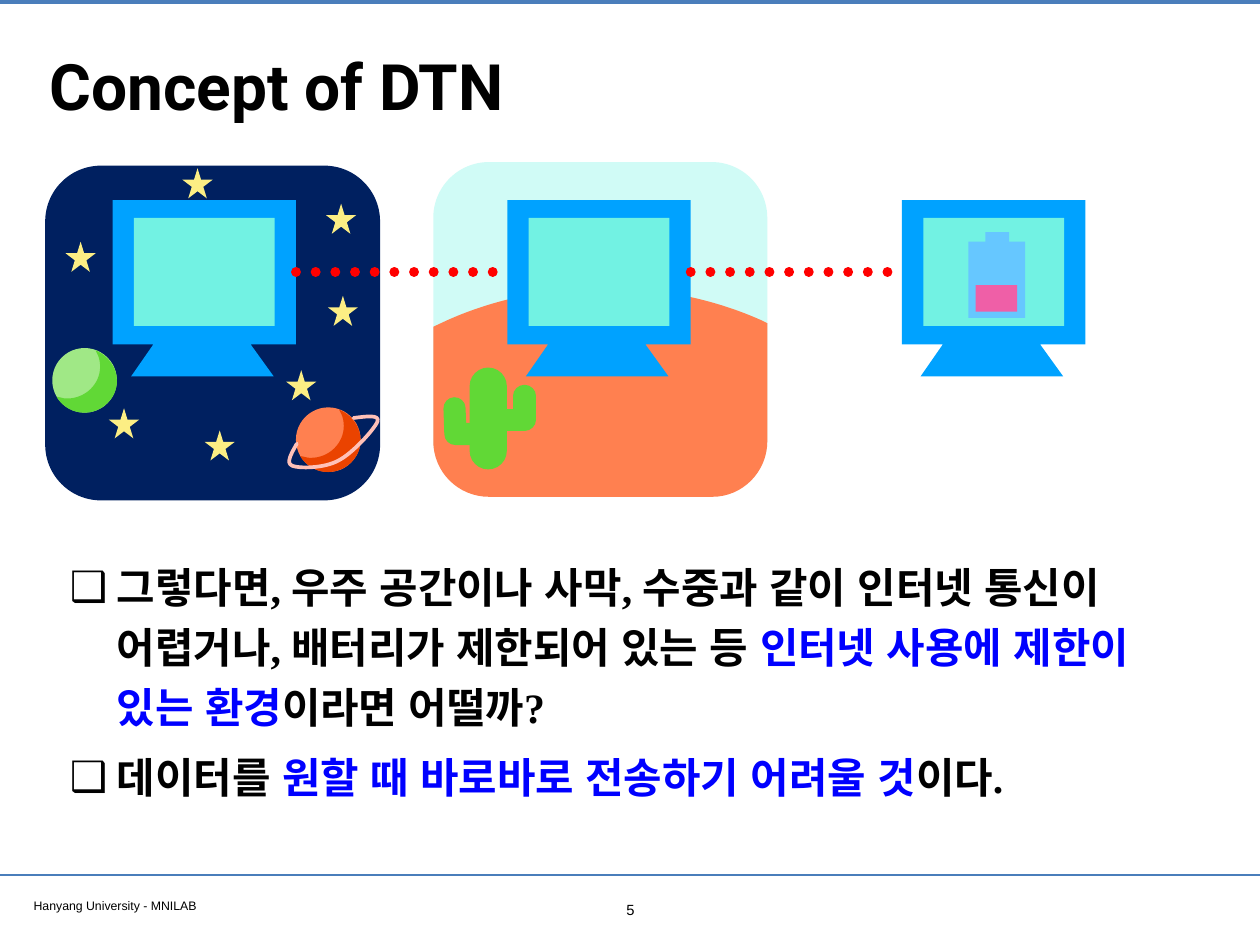
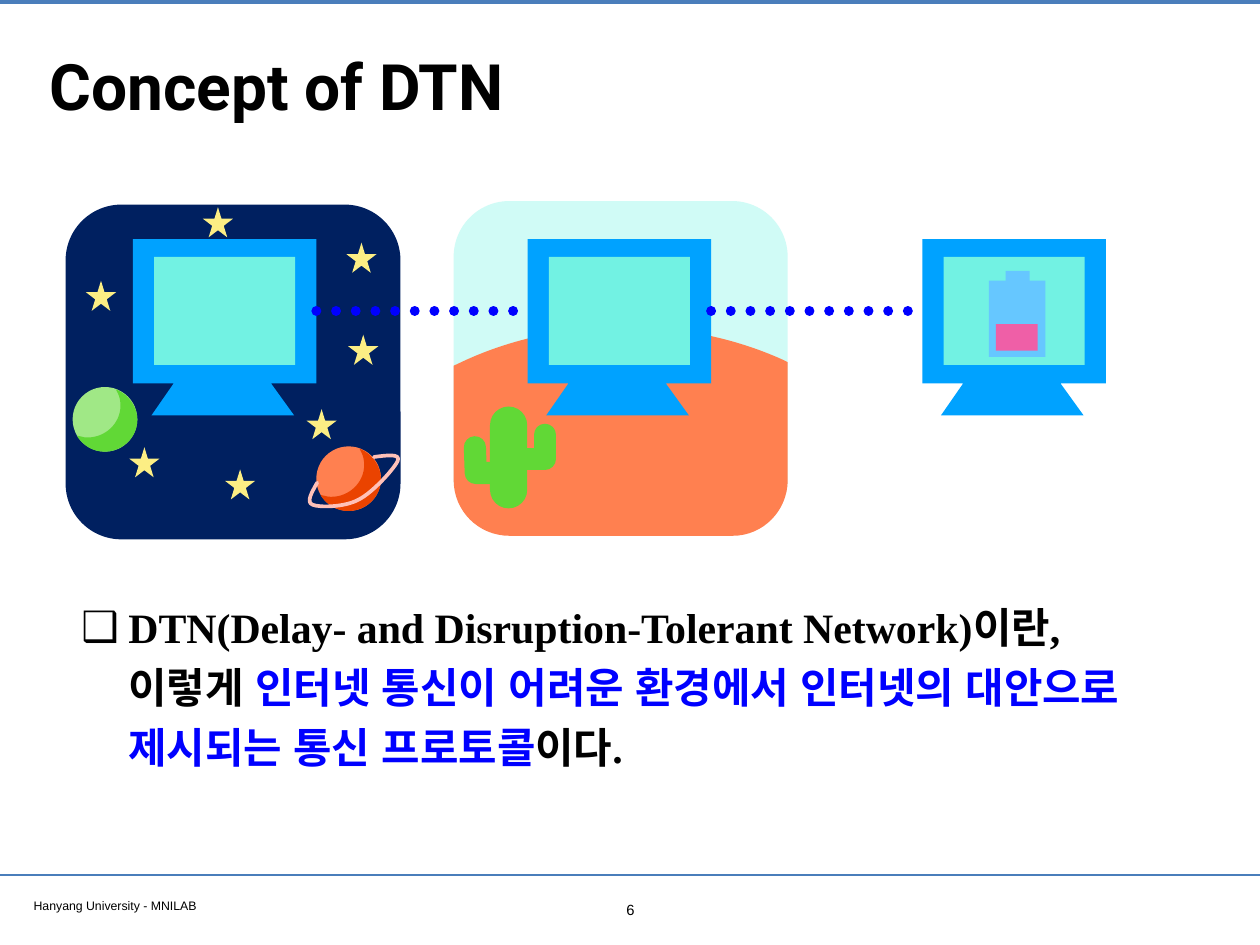
"""Builds two slides on the concept of delay-tolerant networks."""
from lxml.etree import SubElement
from pptx import Presentation
from pptx.dml.color import RGBColor
from pptx.enum.dml import MSO_LINE
from pptx.enum.shapes import MSO_CONNECTOR, MSO_SHAPE as Kind
from pptx.enum.text import MSO_ANCHOR as Anchor, MSO_AUTO_SIZE, PP_ALIGN as Align
from pptx.oxml.ns import qn
from pptx.shapes.connector import Connector
from pptx.util import Inches, Pt

rgb = RGBColor.from_string
BLACK, BLUE, RED = "000000", "0000FF", "FF0000"
RULE, FRAME, SCREEN = "4A7EBB", "00A2FF", "72F2E3"
SKY, SAND, SPACE, STAR = "D0FBF6", "FF8050", "002060", "FCEE84"
GREEN, RING, CELL, CHARGE = "61D836", "FFC1B8", "66C7FF", "EF5FA7"
PAD = Inches(0.05)
PITCH = 8.91 / 2

STARS = [(2.31, 4.86), (3.23, 4.18), (1.23, 4.61), (3.7, 3.34),
         (0.74, 2.73), (3.68, 2.3), (2.06, 1.9)]
PLANETS = [(3.34, 4.6, SAND, "EA4300"), (0.59, 3.93, "A0E886", GREEN)]
BATTERY = [(10.93, 2.73, 0.64, 0.86, CELL), (11.12, 2.62, 0.27, 0.17, CELL),
           (11.01, 3.22, 0.47, 0.3, CHARGE)]
ARMS = [[(5.68, 4.74), (5.92, 4.74), (5.92, 4.47)],
        [(5.3, 4.9), (5.14, 4.9), (5.13, 4.61)]]
DUNE = [(1.93, 0), (2.59, 0, 3.2, 0.14, 3.71, 0.37), (3.77, 0.4), (3.77, 1.73),
        (3.77, 2.08, 3.49, 2.36, 3.15, 2.36), (0.63, 2.36),
        (0.28, 2.36, 0, 2.08, 0, 1.73), (0, 0.44), (0.15, 0.37),
        (0.66, 0.14, 1.27, 0, 1.93, 0)]
SHADE = [(0.49, 0.03), (0.5, 0.03), (0.63, 0.09, 0.73, 0.22, 0.73, 0.37),
         (0.73, 0.57, 0.56, 0.73, 0.36, 0.73), (0.24, 0.73, 0.13, 0.67, 0.06, 0.57),
         (0.05, 0.55), (0.1, 0.56), (0.12, 0.57, 0.15, 0.57, 0.17, 0.57),
         (0.37, 0.57, 0.54, 0.41, 0.54, 0.21), (0.54, 0.16, 0.53, 0.11, 0.51, 0.07)]
ORBIT = [(3.35, 5.01), (3.29, 5.12, 3.22, 5.23, 3.3, 5.26),
         (3.37, 5.29, 3.66, 5.29, 3.82, 5.2), (3.98, 5.12, 4.23, 4.84, 4.26, 4.76),
         (4.29, 4.68, 4.14, 4.7, 3.99, 4.72)]
CASE = [(0, 0), (2.07, 0), (2.07, 1.63), (1.56, 1.63),
        (1.82, 1.99), (0.21, 1.99), (0.46, 1.63), (0, 1.63)]

PAGES = [
    ("5", 0, 0, RED, (0.74, 6.18, 12.24, 3.02), [
        [("그렇다면, 우주 공간이나 사막, 수중과 같이 인터넷 통신이 어렵거나, "
          "배터리가 제한되어 있는 등 ", BLACK),
         ("인터넷 사용에 제한이 있는 환경", BLUE), ("이라면 어떨까?", BLACK)],
        [("데이터를 ", BLACK), ("원할 때 바로바로 전송하기 어려울 것", BLUE),
         ("이다.", BLACK)]]),
    ("6", 0.23, 0.44, BLUE, (0.87, 6.63, 12.24, 2.24), [
        [("DTN(Delay- and Disruption-Tolerant Network)이란, 이렇게 ", BLACK),
         ("인터넷 통신이 어려운 환경에서 인터넷의 대안으로 제시되는 통신 프로토콜", BLUE),
         ("이다.", BLACK)]]),
]


def paint(item, fill=None, line=None, width=0):
    """Set fill, outline and shadow of a shape or connector."""
    if line:
        item.line.color.rgb = rgb(line)
        item.line.width = Pt(width)
        item.element.spPr.find(qn("a:ln")).set("cap", "rnd")
    else:
        item.line.fill.background()
    if isinstance(item, Connector):
        SubElement(item.element.spPr, qn("a:effectLst"))
        return
    item.shadow.inherit = False
    if fill:
        item.fill.solid()
        item.fill.fore_color.rgb = rgb(fill)
    else:
        item.fill.background()


def trace(pool, x, y, steps, close=True):
    """Draw an outline of points and cubic curves with its origin at x, y."""
    dots = [(Inches(step[i]), Inches(step[i + 1]))
            for step in steps for i in range(0, len(step), 2)]
    pen = pool.build_freeform(*dots[0], 1.0)
    pen.add_line_segments(dots[1:], close=close)
    shape = pen.convert_to_shape(Inches(x), Inches(y))
    legs = iter(list(shape.element.iter(qn("a:lnTo"))))
    for step in steps[1:]:
        leg = next(legs)
        if len(step) == 6:
            leg.tag = qn("a:cubicBezTo")
            for other in (next(legs), next(legs)):
                leg.append(other[0])
                other.getparent().remove(other)
    return shape


deck = Presentation()
deck.slide_width, deck.slide_height = Inches(14.22), Inches(10.67)
layout = deck.slide_layouts[5]
for spot in list(layout.placeholders):
    if spot.placeholder_format.idx:
        spot.element.getparent().remove(spot.element)

for page, (number, dx, dy, signal, place, body) in enumerate(PAGES):
    slide = deck.slides.add_slide(layout)
    pool = slide.shapes

    if page == 0:
        for y, width in ((0.02, 3.2), (9.88, 2)):
            rule = pool.add_connector(MSO_CONNECTOR.STRAIGHT, 0, Inches(y),
                                      deck.slide_width, Inches(y))
            paint(rule, line=RULE, width=width)
            layout.shapes.element.append(rule.element)
        foot = pool.add_textbox(Inches(0.33), Inches(10.09), Inches(5.46), Inches(0.26))
        frame = foot.text_frame
        frame.margin_left = frame.margin_right = PAD
        frame.margin_top = frame.margin_bottom = PAD
        frame.word_wrap = True
        run = frame.paragraphs[0].add_run()
        run.text = "Hanyang University - MNILAB"
        run.font.size, run.font.name = Pt(10), "Arial"
        run.font.color.rgb = rgb(BLACK)
        layout.shapes.element.append(foot.element)

    texts = [
        (pool.title, (0.51, 0.28, 13.21, 1.35), [[("Concept of DTN", BLACK)]],
         52, "Roboto", True, Align.LEFT, Anchor.MIDDLE),
        (pool.add_textbox(0, 0, 0, 0), place, body,
         34, "Times New Roman", True, Align.LEFT, Anchor.TOP),
        (pool.add_textbox(0, 0, 0, 0), (6.92, 10.12, 0.39, 0.31), [[(number, BLACK)]],
         12, "Arial", False, Align.CENTER, Anchor.TOP),
    ]
    for box, area, paras, size, face, bold, align, anchor in texts:
        box.left, box.top, box.width, box.height = map(Inches, area)
        frame = box.text_frame
        frame.margin_left = frame.margin_right = PAD
        frame.margin_top = frame.margin_bottom = PAD
        frame.word_wrap = True
        frame.auto_size = MSO_AUTO_SIZE.NONE
        frame.vertical_anchor = anchor
        for row, runs in enumerate(paras):
            para = frame.add_paragraph() if row else frame.paragraphs[0]
            para.alignment = align
            if paras is body:
                props = para._p.get_or_add_pPr()
                props.set("marL", str(Inches(0.53)))
                props.set("indent", str(Inches(-0.53)))
                SubElement(props, qn("a:buFont")).set("typeface", "Arial")
                SubElement(props, qn("a:buChar")).set("char", "❑")
                para.line_spacing = 1.2
                para.space_before = Pt(8 if row else 0)
            for words, tint in runs:
                run = para.add_run()
                run.text = words
                run.font.size, run.font.name, run.font.bold = Pt(size), face, bold
                run.font.color.rgb = rgb(tint)
                if paras is body:
                    SubElement(run.font._element, qn("a:ea")).set("typeface", "Arial")

    sky = pool.add_shape(Kind.ROUNDED_RECTANGLE, Inches(4.89 + dx), Inches(1.83 + dy),
                         Inches(3.77), Inches(3.77))
    paint(sky, SKY)
    paint(trace(pool, 4.89 + dx, 3.25 + dy, DUNE), SAND)
    space = pool.add_shape(Kind.ROUNDED_RECTANGLE, Inches(0.51 + dx), Inches(1.87 + dy),
                           Inches(3.78), Inches(3.78))
    paint(space, SPACE)

    for n in range(3):
        x, y = 1.27 + n * PITCH + dx, 2.26 + dy
        group = pool.add_group_shape().shapes
        paint(trace(group, x, y, CASE), FRAME)
        screen = group.add_shape(Kind.RECTANGLE, Inches(x + 0.24), Inches(y + 0.2),
                                 Inches(1.59), Inches(1.22))
        paint(screen, SCREEN)

    for n in range(2):
        x, y = 3.34 + n * PITCH + dx, Inches(3.07 + dy)
        link = pool.add_connector(MSO_CONNECTOR.STRAIGHT, Inches(x), y,
                                  Inches(x + 2.39), y)
        link.line.dash_style = MSO_LINE.ROUND_DOT
        paint(link, line=signal, width=8)

    for x, y, light, dark in PLANETS:
        ball = pool.add_shape(Kind.OVAL, Inches(x + dx), Inches(y + dy),
                              Inches(0.73), Inches(0.73))
        paint(ball, light)
        paint(trace(pool, x + dx, y + dy, SHADE), dark)
    for x, y in STARS:
        star = pool.add_shape(Kind.STAR_5_POINT, Inches(x + dx), Inches(y + dy),
                              Inches(0.34), Inches(0.34))
        paint(star, STAR)
    paint(trace(pool, dx, dy, ORBIT, False), line=RING, width=3)

    trunk = pool.add_shape(Kind.ROUNDED_RECTANGLE, Inches(5.3 + dx), Inches(4.15 + dy),
                           Inches(0.42), Inches(1.15))
    trunk.adjustments[0] = 0.5
    paint(trunk, GREEN)
    for arm in ARMS:
        paint(trace(pool, dx, dy, arm, False), line=GREEN, width=18)

    for x, y, w, h, tint in BATTERY:
        part = pool.add_shape(Kind.RECTANGLE, Inches(x + dx), Inches(y + dy),
                              Inches(w), Inches(h))
        paint(part, tint)

deck.save("out.pptx")
